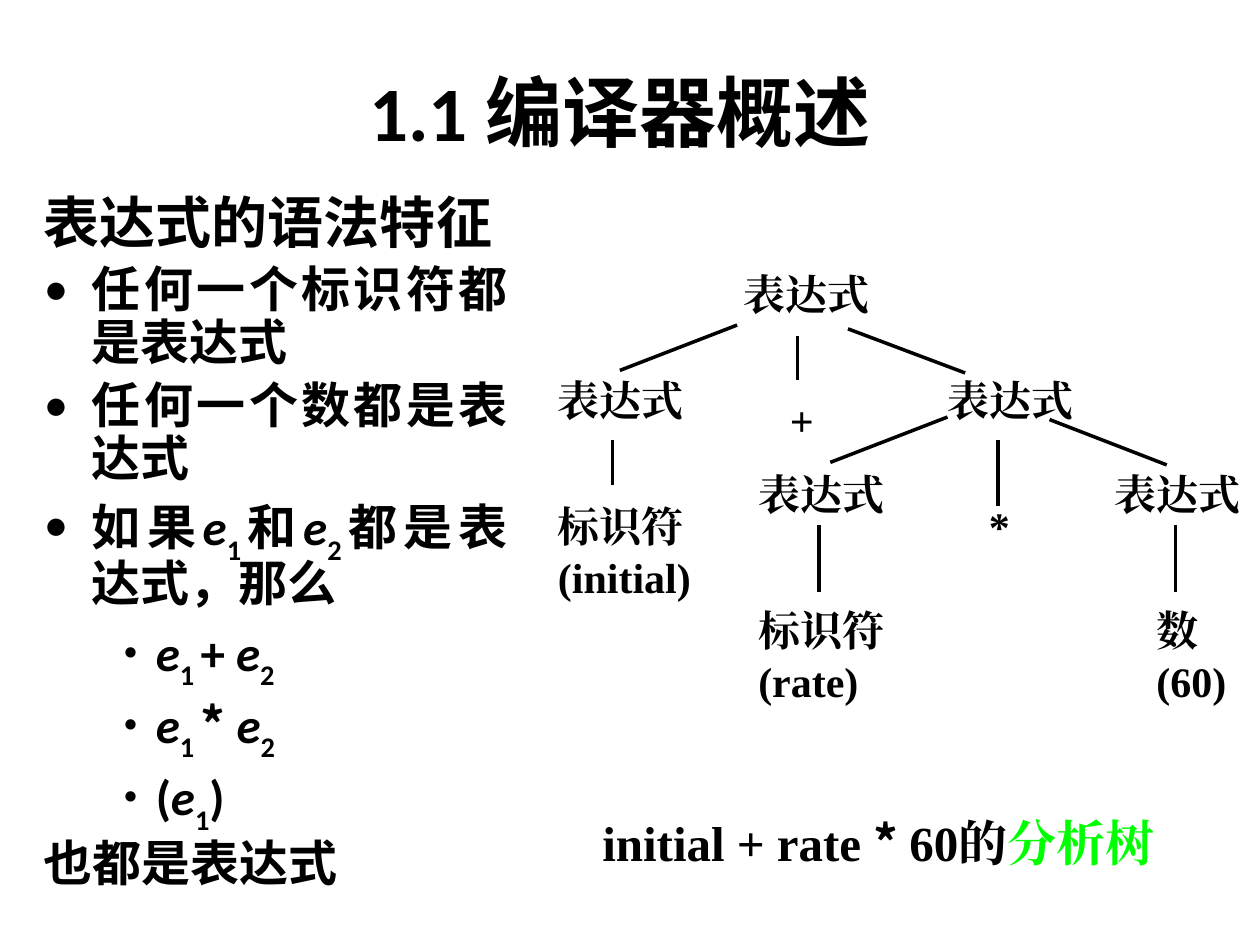
from dataclasses import dataclass
from typing import Optional

from lxml.etree import SubElement
from pptx import Presentation
from pptx.dml.color import RGBColor
from pptx.enum.shapes import MSO_CONNECTOR
from pptx.enum.text import MSO_ANCHOR, PP_ALIGN
from pptx.oxml.ns import qn
from pptx.util import Inches, Pt


@dataclass(frozen=True)
class Theme:
    ink: RGBColor = RGBColor(0, 0, 0)
    accent: RGBColor = RGBColor(0, 255, 0)
    body_font: str = "Calibri"
    tree_font: str = "Times New Roman"
    symbol_font: str = "Noto Sans CJK SC"
    title_size: int = 44
    heading_size: int = 32
    body_size: int = 28
    tree_size: int = 24
    branch_width: int = 2


THEME = Theme()


@dataclass(frozen=True)
class Piece:
    """A stretch of text with one look; unset values follow the paragraph."""
    text: str
    italic: bool = False
    subscript: bool = False
    font: Optional[str] = None
    color: RGBColor = THEME.ink


def variable(index):
    return [Piece("e", italic=True), Piece(index, subscript=True)]


STAR = Piece("* ", font=THEME.symbol_font)

RULES = [
    [Piece("任何一个标识符都是表达式")],
    [Piece("任何一个数都是表达式")],
    [Piece("如果"), *variable("1"), Piece("和"), *variable("2"),
     Piece("都是表达式，那么")],
]
FORMS = [
    [*variable("1 "), Piece("+ "), *variable("2")],
    [*variable("1 "), STAR, *variable("2")],
    [Piece("("), *variable("1"), Piece(")")],
]

# Text lines, then left, top, width and height in inches
TREE_NODES = [
    (["表达式"], 5.8, 2.08, 1.25, 0.71),
    (["表达式"], 4.33, 2.92, 1.25, 0.71),
    (["+"], 6.17, 3.08, 0.53, 0.71),
    (["表达式"], 7.42, 2.92, 1.42, 0.71),
    (["标识符"], 4.33, 3.92, 1.33, 0.58),
    (["(initial)"], 4.33, 4.33, 1.31, 0.71),
    (["表达式"], 5.92, 3.67, 1.36, 0.71),
    (["*"], 7.75, 3.92, 0.53, 0.71),
    (["表达式"], 8.75, 3.67, 1.25, 0.71),
    (["标识符", "(rate)"], 5.92, 4.75, 1.27, 0.94),
    (["数", "(60)"], 9.08, 4.75, 0.8, 0.92),
]
# Start x, start y, end x and end y in inches
TREE_BRANCHES = [
    (5.85, 2.58, 4.92, 2.94),
    (6.33, 2.67, 6.33, 3.02),
    (6.73, 2.61, 7.66, 2.96),
    (4.86, 3.49, 4.86, 3.85),
    (7.52, 3.31, 6.59, 3.67),
    (7.92, 3.49, 7.92, 4.02),
    (8.33, 3.33, 9.26, 3.69),
    (6.5, 4.17, 6.5, 4.7),
    (9.33, 4.17, 9.33, 4.7),
]


def add_text_frame(shapes, left, top, width, height,
                   anchor=MSO_ANCHOR.TOP, wrap=True):
    box = shapes.add_textbox(Inches(left), Inches(top),
                             Inches(width), Inches(height))
    frame = box.text_frame
    frame.word_wrap = wrap
    frame.vertical_anchor = anchor
    return frame


def add_paragraph(frame, pieces, size, font, alignment):
    """Fill the empty first paragraph, or append another one."""
    first = frame.paragraphs[0]
    paragraph = frame.add_paragraph() if first.runs else first
    paragraph.alignment = alignment
    for piece in pieces:
        run = paragraph.add_run()
        run.text = piece.text
        run.font.size = Pt(size)
        run.font.bold = True
        run.font.italic = piece.italic
        run.font.name = piece.font or font
        run.font.color.rgb = piece.color
        properties = run.font._element
        properties.set("lang", "zh-CN")
        latin = properties.find(qn("a:latin"))
        east_asian = SubElement(properties, qn("a:ea"))
        east_asian.set("typeface", latin.get("typeface"))
        if piece.subscript:
            properties.set("baseline", "-30000")
    return paragraph


def set_hanging_indent(paragraph, margin, hang, bullet_font=None):
    properties = paragraph._p.get_or_add_pPr()
    properties.set("marL", str(Inches(margin)))
    properties.set("indent", str(-Inches(hang)))
    if bullet_font:
        SubElement(properties, qn("a:buFont")).set("typeface", bullet_font)
        SubElement(properties, qn("a:buChar")).set("char", "•")


def add_body(shapes):
    frame = add_text_frame(shapes, 0.25, 1.5, 3.88, 5.79)

    def add_line(pieces, size=THEME.body_size, margin=0.38, hang=0.38,
                 bullet_font=None, alignment=PP_ALIGN.JUSTIFY):
        is_first = not frame.paragraphs[0].runs
        paragraph = add_paragraph(frame, pieces, size, THEME.body_font,
                                  alignment)
        set_hanging_indent(paragraph, margin, hang, bullet_font)
        paragraph.line_spacing = 0.9
        if not is_first:
            paragraph.space_before = Pt(0.2 * size)

    add_line([Piece("表达式的语法特征")], size=THEME.heading_size)
    for rule in RULES:
        add_line(rule, bullet_font=THEME.body_font)
    for form in FORMS:
        add_line(form, margin=0.81, hang=0.31,
                 bullet_font=THEME.symbol_font)
    add_line([Piece("也都是表达式")], alignment=PP_ALIGN.LEFT)


def add_branch(shapes, start_x, start_y, end_x, end_y):
    branch = shapes.add_connector(MSO_CONNECTOR.STRAIGHT,
                                  Inches(start_x), Inches(start_y),
                                  Inches(end_x), Inches(end_y))
    branch.line.color.rgb = THEME.ink
    branch.line.width = Pt(THEME.branch_width)
    SubElement(branch._element.spPr, qn("a:effectLst"))


def add_parse_tree(shapes):
    tree = shapes.add_group_shape().shapes
    for lines, *bounds in TREE_NODES:
        frame = add_text_frame(tree, *bounds)
        for line in lines:
            add_paragraph(frame, [Piece(line)], THEME.tree_size,
                          THEME.tree_font, PP_ALIGN.JUSTIFY)
    for ends in TREE_BRANCHES:
        add_branch(tree, *ends)


def main():
    presentation = Presentation()
    presentation.slide_width = Inches(10)
    presentation.slide_height = Inches(7.5)
    slide = presentation.slides.add_slide(presentation.slide_layouts[6])
    shapes = slide.shapes

    title = add_text_frame(shapes, 0.67, 0.25, 8.5, 1.25, MSO_ANCHOR.MIDDLE)
    add_paragraph(title, [Piece("1.1 编译器概述")], THEME.title_size,
                  THEME.body_font, PP_ALIGN.CENTER)
    add_body(shapes)
    add_parse_tree(shapes)

    caption = add_text_frame(shapes, 4.37, 6.35, 5.2, 0.67,
                             MSO_ANCHOR.MIDDLE, wrap=False)
    add_paragraph(caption, [Piece("initial + rate "), STAR, Piece("60的"),
                            Piece("分析树", color=THEME.accent)],
                  THEME.body_size, THEME.tree_font, PP_ALIGN.CENTER)
    presentation.save("out.pptx")


if __name__ == "__main__":
    main()
